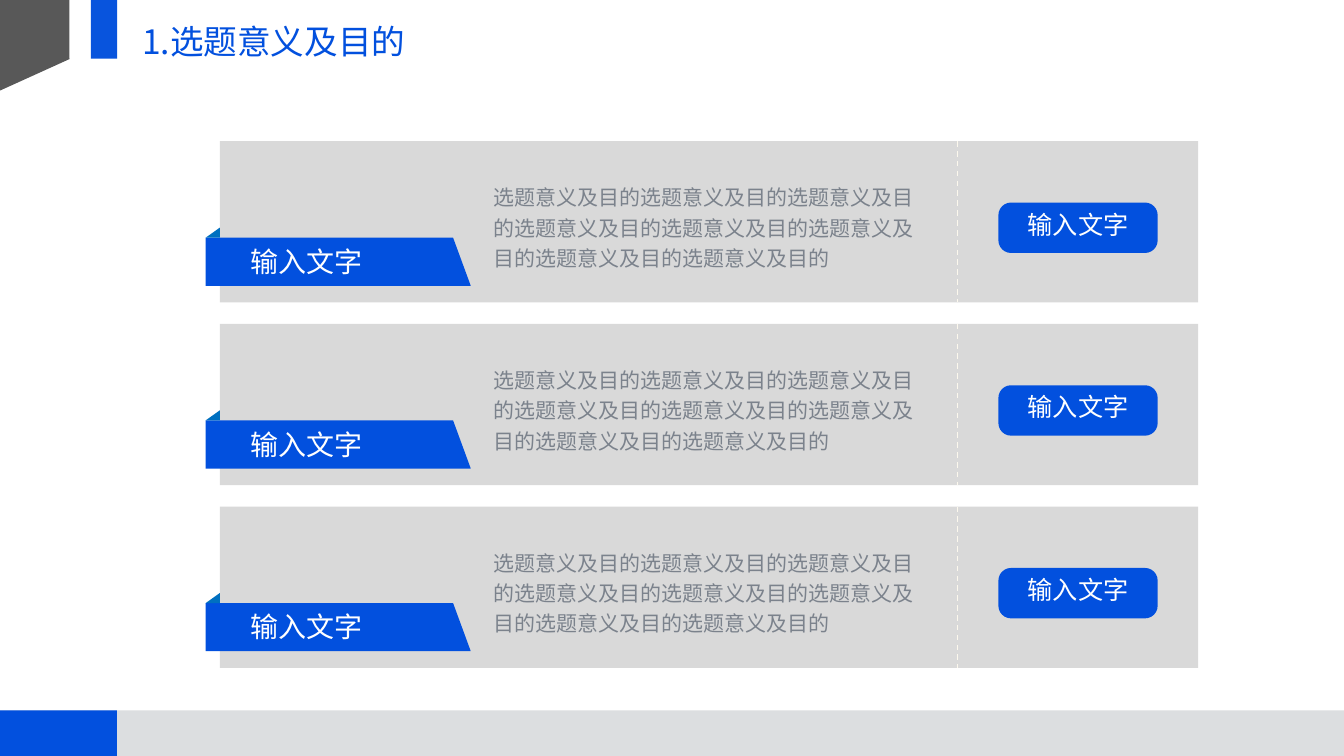
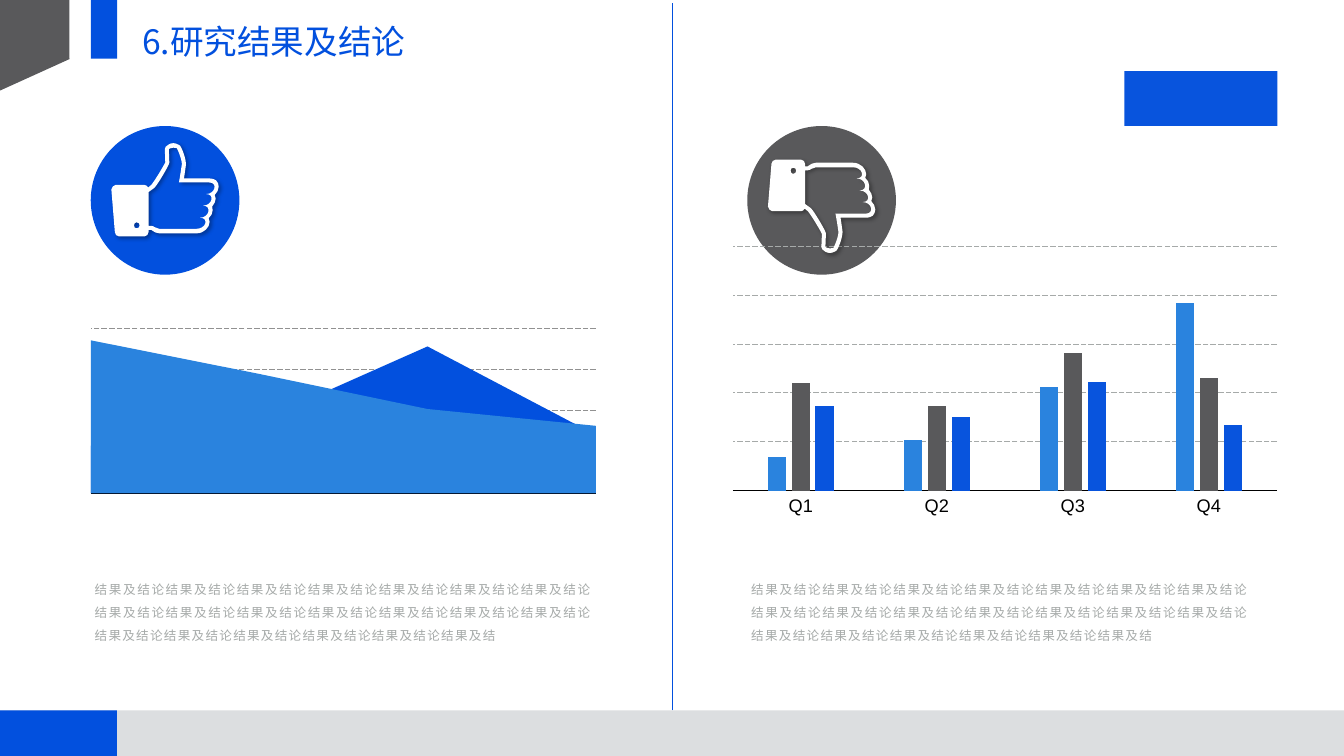
"""Build two thesis slides: topic rows and a results comparison."""
from lxml import etree
from pptx import Presentation
from pptx.chart.data import CategoryChartData
from pptx.dml.color import RGBColor
from pptx.enum import chart as c, dml, shapes, text
from pptx.oxml import ns
from pptx.util import Pt

BLUE = RGBColor(0x02, 0x50, 0xDE)
ACCENT_BLUE = RGBColor(0x08, 0x54, 0xDD)
LIGHT_BLUE = RGBColor(0x2A, 0x83, 0xDE)
FOLD_BLUE = RGBColor(0x00, 0x70, 0xC0)
DARK = RGBColor(0x59, 0x59, 0x5B)
CORNER = RGBColor(0x58, 0x58, 0x58)
FOOTER = RGBColor(0xDC, 0xDE, 0xE0)
PANEL = RGBColor(0xD9, 0xD9, 0xD9)
CREAM = RGBColor(0xFC, 0xF8, 0xED)
BODY = RGBColor(0x7B, 0x82, 0x8C)
CAPTION = RGBColor(0xA6, 0xAA, 0xA9)
AREA_GRID = RGBColor(0x91, 0x91, 0x91)
WHITE = RGBColor(0xFF, 0xFF, 0xFF)
BLACK = RGBColor(0, 0, 0)
FONT = "Noto Sans CJK SC"
CHART_FONT = "Arial"

TOPIC_TITLE = "1.选题意义及目的"
TOPIC_ROWS = [("输入文字", "选题意义及目的" * 8, "输入文字")] * 3
ROW_TOP, ROW_PITCH = 201.6, 261

RESULT_TITLE = "6.研究结果及结论"
RESULT_TEXT = "结果及结论" * 19 + "结果及结"
RESULT_COLUMNS = [(129.6, BLUE, 159.1, 204.5, False), (1067.5, DARK, 1097.1, 228.2, True)]
COLUMN_CHART = {
    "type": c.XL_CHART_TYPE.COLUMN_CLUSTERED, "box": (1028.5, 321.1, 796.3, 427.7),
    "categories": ["Q1", "Q2", "Q3", "Q4"], "labels": c.XL_TICK_LABEL_POSITION.LOW,
    "series": [("Series 1", (18, 27, 55, 100), LIGHT_BLUE),
               ("Series 2", (57, 45, 73, 60), DARK),
               ("Series 3", (45, 39, 58, 35), ACCENT_BLUE)],
    "step": 26, "maximum": 130, "grid": CAPTION, "plot": (0.023, 0.072, 0.977, 0.816),
}
AREA_CHART = {
    "type": c.XL_CHART_TYPE.AREA, "box": (111.9, 437.8, 742.3, 281.5),
    "categories": ["1", "2", "3", "4"], "labels": c.XL_TICK_LABEL_POSITION.NONE,
    "series": [("Series 1", (100, 78, 55, 44), LIGHT_BLUE),
               ("Series 2", (31, 47, 96, 38), BLUE)],
    "step": 27, "maximum": 108, "grid": AREA_GRID, "plot": (0.024, 0.11, 0.972, 0.837),
}

HAND_UNIT, HAND_HEIGHT = 0.72, 185
HAND_OUTER = [
    (123, 0), (116, 0, 111, 4, 108, 7), (107, 9, 106, 10, 106, 12), (106, 12, 107, 32, 107, 38),
    (104, 45, 84, 78, 79, 83), (78, 84, 75, 86, 73, 88), (71, 85, 69, 83, 66, 83), (8, 83),
    (6, 83, 4, 84, 3, 86), (1, 88, 0, 90, 0, 92), (7, 177), (7, 181, 11, 185, 15, 185),
    (66, 185), (70, 185, 74, 181, 74, 176), (74, 172), (79, 172), (79, 173, 81, 173, 82, 174),
    (85, 176, 89, 179, 95, 179), (169, 179), (184, 179, 195, 167, 195, 156),
    (195, 153, 194, 151, 193, 149), (198, 145, 201, 139, 201, 133),
    (201, 131, 201, 128, 200, 126), (204, 121, 207, 115, 207, 110),
    (207, 107, 207, 105, 205, 103), (210, 98, 213, 92, 213, 86), (213, 82, 211, 77, 208, 74),
    (205, 72, 201, 70, 194, 70), (144, 70), (146, 58, 148, 43, 148, 42),
    (148, 42, 148, 41, 148, 41), (147, 25, 138, 7, 137, 6), (137, 5, 135, 4, 133, 3),
    (130, 1, 126, 0, 123, 0),
]
HAND_INNER = [
    (123, 9), (125, 9, 127, 9, 130, 10), (130, 10, 139, 28, 140, 41), (140, 41, 136, 69, 134, 78),
    (194, 78), (212, 78, 206, 101, 188, 101), (206, 101, 200, 124, 182, 124),
    (200, 124, 194, 148, 176, 148), (194, 148, 188, 170, 169, 170), (95, 170),
    (89, 170, 84, 164, 79, 164), (74, 164), (74, 97), (78, 94, 82, 91, 85, 89),
    (91, 84, 115, 43, 115, 39), (115, 34, 114, 12, 114, 12), (114, 12, 117, 9, 123, 9),
]
CUFF_BUTTON = [
    (50, 157), (54, 157, 56, 160, 56, 163), (56, 167, 54, 169, 50, 169),
    (47, 169, 45, 167, 45, 163), (45, 160, 47, 157, 50, 157),
]


def paint(shape, color):
    shape.shadow.inherit = False
    shape.fill.solid()
    shape.fill.fore_color.rgb = color
    shape.line.fill.background()
    return shape


def add_block(slide, box, color, kind=shapes.MSO_SHAPE.RECTANGLE):
    return paint(slide.shapes.add_shape(kind, *map(Pt, box)), color)


def add_outline(slide, contours, color):
    """Draw contours whose segments are (x, y) lines or six-number curves."""
    contours = [[tuple(map(Pt, segment)) for segment in contour] for contour in contours]
    ends = [[segment[-2:] for segment in contour] for contour in contours]
    builder = slide.shapes.build_freeform(*ends[0][0])
    for index, contour in enumerate(ends):
        if index:
            builder.move_to(*contour[0])
        builder.add_line_segments(contour[1:])
    shape = paint(builder.convert_to_shape(), color)
    outline = shape.element.spPr.find(".//" + ns.qn("a:path"))
    for old in list(outline):
        outline.remove(old)
    left, top = (min(end[axis] for contour in ends for end in contour) for axis in (0, 1))
    for contour in contours:
        for index, segment in enumerate(contour):
            tag = "moveTo" if not index else "lnTo" if len(segment) == 2 else "cubicBezTo"
            command = etree.SubElement(outline, ns.qn("a:" + tag))
            for x, y in zip(segment[::2], segment[1::2]):
                etree.SubElement(command, ns.qn("a:pt"), x=str(x - left), y=str(y - top))
        etree.SubElement(outline, ns.qn("a:close"))
    return shape


def add_line(slide, ends, color, width, dash=None):
    line = slide.shapes.add_connector(shapes.MSO_CONNECTOR.STRAIGHT, *map(Pt, ends))
    line.line.color.rgb = color
    line.line.width = Pt(width)
    if dash:
        line.line.dash_style = dash
    etree.SubElement(line.element.spPr, ns.qn("a:effectLst"))


def add_text(slide, box, words, size, color, align=text.PP_ALIGN.LEFT,
             anchor=text.MSO_ANCHOR.TOP, spacing=None, tracking=None, inset=7.2):
    frame = slide.shapes.add_textbox(*map(Pt, box)).text_frame
    frame.word_wrap = True
    frame.auto_size = text.MSO_AUTO_SIZE.SHAPE_TO_FIT_TEXT
    frame.vertical_anchor = anchor
    frame.margin_left = frame.margin_right = Pt(inset)
    frame.margin_top = frame.margin_bottom = Pt(inset)
    paragraph = frame.paragraphs[0]
    paragraph.alignment = align
    if spacing:
        paragraph.line_spacing = spacing
    run = paragraph.add_run()
    run.text = words
    run.font.size = Pt(size)
    run.font.name = FONT
    run.font.color.rgb = color
    properties = run.font._element
    etree.SubElement(properties, ns.qn("a:ea"), typeface=FONT)
    if tracking:
        properties.set("spc", str(round(tracking * 100)))


def add_footer(slide):
    add_block(slide, (0, 1014.8, 1920, 65.2), FOOTER)
    add_block(slide, (0, 1014.8, 167.2, 65.2), BLUE)


def add_header(slide, title, corner_color, tab_color):
    add_outline(slide, [[(0, 0), (0, 129.4), (99.7, 84.2), (99.3, 84.2), (99.3, 0)]], corner_color)
    add_block(slide, (129.8, 0, 37.4, 83.7), tab_color)
    add_text(slide, (196, 23, 396.7, 78.5), title, 48, BLUE)


def add_topic_row(slide, top, label, body, button):
    fold = top + 138
    add_block(slide, (314, top, 1397.5, 230.4), PANEL)
    add_outline(slide, [[(293.8, fold), (293.8, fold + 68.7), (672.5, fold + 68.7),
                         (647.3, fold)]], BLUE)
    add_outline(slide, [[(314, fold), (293.8, fold), (314, fold - 14.4)]], FOLD_BLUE)
    add_line(slide, (1367.7, top, 1367.7, top + 230.4), CREAM, 2, dml.MSO_LINE.DASH)
    add_text(slide, (351.4, top + 140.4, 213.1, 66.2), label, 40, WHITE)
    box = add_block(slide, (1426.3, top + 87.8, 227.5, 72), BLUE,
                    shapes.MSO_SHAPE.ROUNDED_RECTANGLE)
    box.adjustments[0] = 0.25
    add_text(slide, (1453.7, top + 87.8, 172.8, 61.2), button, 36, WHITE,
             text.PP_ALIGN.CENTER, text.MSO_ANCHOR.MIDDLE)
    add_text(slide, (697.7, top + 48.2, 630, 150.5), body, 30, BODY, spacing=1.2)


def add_hand(slide, left, top, thumb_down):
    def place(segment):
        return tuple(
            left + value * HAND_UNIT if index % 2 == 0
            else top + (HAND_HEIGHT - value if thumb_down else value) * HAND_UNIT
            for index, value in enumerate(segment))

    contours = [list(map(place, contour)) for contour in (HAND_OUTER, HAND_INNER, CUFF_BUTTON)]
    hand = add_outline(slide, contours, WHITE)
    effects = hand.element.spPr.find(ns.qn("a:effectLst"))
    shadow = etree.SubElement(effects, ns.qn("a:outerShdw"), blurRad=str(Pt(6)),
                              dist=str(Pt(4)), dir="2700000", rotWithShape="0")
    color = etree.SubElement(shadow, ns.qn("a:srgbClr"), val="000000")
    etree.SubElement(color, ns.qn("a:alpha"), val="35000")


def place_plot(chart, fractions):
    area = chart._chartSpace.chart.plotArea
    for old in area.findall(ns.qn("c:layout")):
        area.remove(old)
    layout = etree.Element(ns.qn("c:layout"))
    manual = etree.SubElement(layout, ns.qn("c:manualLayout"))
    settings = [("layoutTarget", "inner"), ("xMode", "edge"), ("yMode", "edge")]
    settings += zip("xywh", map(str, fractions))
    for tag, value in settings:
        etree.SubElement(manual, ns.qn("c:" + tag), val=value)
    area.insert(0, layout)


def add_result_chart(slide, data):
    chart_data = CategoryChartData()
    chart_data.categories = data["categories"]
    for name, values, _ in data["series"]:
        chart_data.add_series(name, values)
    chart = slide.shapes.add_chart(data["type"], *map(Pt, data["box"]), chart_data).chart
    chart.has_legend = chart.has_title = False
    chart.font.name, chart.font.size = CHART_FONT, Pt(26)
    chart.font.color.rgb = BLACK
    plot = chart.plots[0]
    plot.vary_by_categories = False
    for series, (_, _, color) in zip(plot.series, data["series"]):
        series.format.fill.solid()
        series.format.fill.fore_color.rgb = color
        series.format.line.fill.background()
    categories, values = chart.category_axis, chart.value_axis
    for axis in (categories, values):
        axis.major_tick_mark = axis.minor_tick_mark = c.XL_TICK_MARK.NONE
    categories.has_major_gridlines = False
    categories.tick_label_position = data["labels"]
    categories.format.line.color.rgb = BLACK
    categories.format.line.width = Pt(1)
    values.tick_label_position = c.XL_TICK_LABEL_POSITION.NONE
    values.format.line.fill.background()
    values.minimum_scale, values.maximum_scale = 0, data["maximum"]
    values.major_unit = data["step"]
    values.has_major_gridlines = True
    grid = values.major_gridlines.format.line
    grid.color.rgb = data["grid"]
    grid.width = Pt(1)
    grid.dash_style = dml.MSO_LINE.LONG_DASH
    if data["type"] == c.XL_CHART_TYPE.COLUMN_CLUSTERED:
        plot.gap_width, plot.overlap = 380, -30
    else:
        values._element.find(ns.qn("c:crossBetween")).set("val", "midCat")
    place_plot(chart, data["plot"])


def build_topic_slide(slide):
    add_footer(slide)
    for index, row in enumerate(TOPIC_ROWS):
        add_topic_row(slide, ROW_TOP + index * ROW_PITCH, *row)
    add_header(slide, TOPIC_TITLE, CORNER, ACCENT_BLUE)


def build_result_slide(slide):
    add_footer(slide)
    for left, color, *_ in RESULT_COLUMNS:
        add_block(slide, (left, 180, 212.4, 212.4), color, shapes.MSO_SHAPE.OVAL)
        add_text(slide, (left, 815.8, 721.4, 107.3), RESULT_TEXT, 18, CAPTION,
                 text.PP_ALIGN.JUSTIFY, text.MSO_ANCHOR.MIDDLE, 1.5, 1.8, 5.63)
    add_line(slide, (960, 1014.8, 960, 4.3), BLUE, 0.25)
    add_block(slide, (1606.3, 101.5, 218.5, 78.5), ACCENT_BLUE)
    for data in (COLUMN_CHART, AREA_CHART):
        add_result_chart(slide, data)
    for _, _, left, top, thumb_down in RESULT_COLUMNS:
        add_hand(slide, left, top, thumb_down)
    add_header(slide, RESULT_TITLE, DARK, BLUE)


def main():
    presentation = Presentation()
    presentation.slide_width, presentation.slide_height = Pt(1920), Pt(1080)
    for build in (build_topic_slide, build_result_slide):
        build(presentation.slides.add_slide(presentation.slide_layouts[6]))
    presentation.save("out.pptx")


if __name__ == "__main__":
    main()
